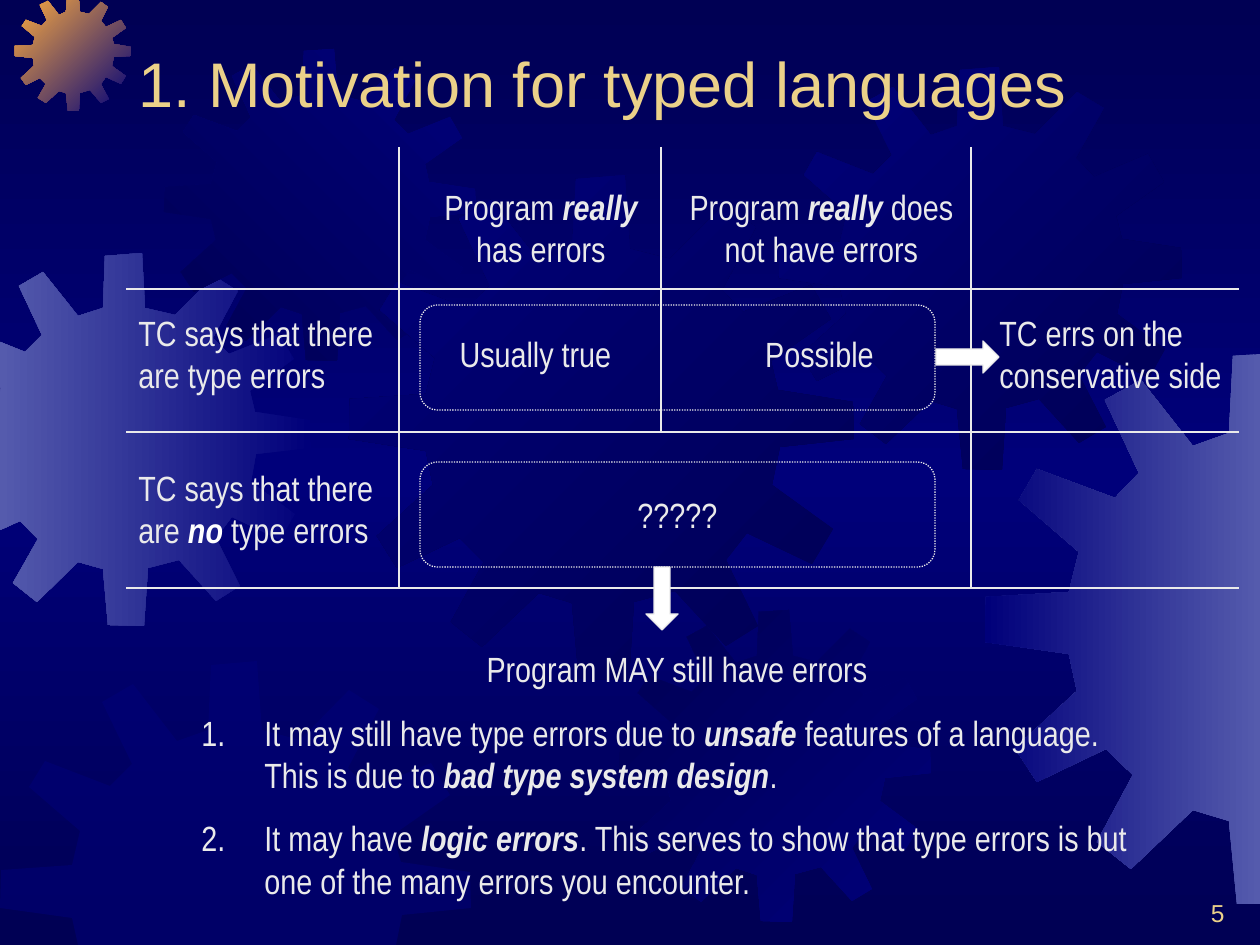
from copy import deepcopy
from dataclasses import dataclass

from lxml import etree
from pptx import Presentation
from pptx import util as u
from pptx.dml.color import RGBColor
from pptx.enum import dml, shapes, text
from pptx.oxml.ns import qn

WIDTH, HEIGHT = 1260, 945
EMU_PER_PX = 914400 / 126

GEAR_SIZE = 401
GEAR_OUTLINE = [
    (255, 67), (223, 59), (219, 0), (180, 3), (177, 59), (151, 68), (113, 20), (87, 35),
    (112, 88), (94, 106), (38, 85), (25, 107), (68, 145), (61, 174), (1, 178), (0, 210),
    (61, 219), (67, 246), (22, 287), (38, 312), (88, 288), (107, 307), (81, 355), (106, 375),
    (151, 332), (177, 340), (183, 400), (222, 401), (226, 339), (259, 330), (299, 374), (325, 358),
    (299, 306), (316, 284), (368, 309), (384, 281), (336, 246), (342, 216), (401, 210), (400, 180),
    (341, 171), (335, 148), (383, 114), (367, 87), (313, 109), (296, 91), (323, 41), (297, 25),
]


@dataclass(frozen=True)
class Theme:
    navy: str = "000054"
    blue: str = "00007A"
    mist: str = "555BAD"
    orange: str = "FCAB40"
    gold: str = "EBD189"
    pale: str = "EAEAEA"
    white: str = "FFFFFF"
    heading_font: str = "Arial"
    body_font: str = "Arial Narrow"
    title_size: int = 36
    body_size: int = 20
    number_size: int = 14
    space_before: float = 12.5
    line_width: float = 0.75


def px(length):
    return u.Emu(round(length * EMU_PER_PX))


def rgb(colour):
    return RGBColor.from_string(colour)


def clip(points, axis, limit, sign):
    """Keep the part of a polygon where sign * coordinate <= sign * limit."""
    kept = []
    for start, end in zip(points[-1:] + points[:-1], points):
        start_in, end_in = (sign * point[axis] <= sign * limit for point in (start, end))
        if start_in != end_in:
            share = (limit - start[axis]) / (end[axis] - start[axis])
            kept.append(tuple(a + share * (b - a) for a, b in zip(start, end)))
        if end_in:
            kept.append(end)
    return kept


class SlideBuilder:
    def __init__(self, slide, theme):
        self.slide = slide
        self.theme = theme

    def gradient(self, fill, element, colours, angle):
        """Spread colours evenly; the angle runs clockwise from left to right."""
        fill.gradient()
        fill.gradient_angle = -angle % 360
        stop_list = element.find(".//" + qn("a:gsLst"))
        for _ in colours[2:]:
            stop_list.append(deepcopy(stop_list[0]))
        for index, (stop, colour) in enumerate(zip(fill.gradient_stops, colours)):
            stop.color.rgb = rgb(colour)
            stop.position = index / (len(colours) - 1)

    def background(self, colours, angle):
        self.gradient(self.slide.background.fill, self.slide.element, colours, angle)

    def gear(self, left, top, size, colours, angle=0):
        """Draw a gear cut off at the slide edges; one colour gives a half-clear fill."""
        scale = size / GEAR_SIZE
        points = [(left + x * scale, top + y * scale) for x, y in GEAR_OUTLINE]
        for axis, limit, sign in ((0, 0, -1), (0, WIDTH, 1), (1, 0, -1), (1, HEIGHT, 1)):
            points = clip(points, axis, limit, sign)
        builder = self.slide.shapes.build_freeform(*points[0], scale=EMU_PER_PX)
        builder.add_line_segments(points[1:], close=True)
        shape = builder.convert_to_shape()
        shape.shadow.inherit = False
        shape.line.fill.background()
        if len(colours) > 1:
            self.gradient(shape.fill, shape.element, colours, angle)
        else:
            shape.fill.solid()
            shape.fill.fore_color.rgb = rgb(colours[0])
            colour = shape.element.spPr.find(".//" + qn("a:srgbClr"))
            etree.SubElement(colour, qn("a:alpha"), val="50000")

    def set_text(self, paragraph, content, size=None, font=None, colour=None,
                 emphasis=None, align=text.PP_ALIGN.LEFT):
        """Fill a paragraph; words between asterisks become bold italic."""
        theme = self.theme
        paragraph.alignment = align
        paragraph.font.size = u.Pt(size or theme.body_size)
        paragraph.font.name = font or theme.body_font
        paragraph.font.color.rgb = rgb(colour or theme.pale)
        for index, part in enumerate(content.split("*")):
            run = paragraph.add_run()
            run.text = part
            if index % 2:
                run.font.bold = run.font.italic = True
                if emphasis:
                    run.font.color.rgb = rgb(emphasis)

    def text_box(self, left, top, width, height, content, anchor=text.MSO_ANCHOR.TOP, **style):
        box = self.slide.shapes.add_textbox(px(left), px(top), px(width), px(height))
        frame = box.text_frame
        frame.word_wrap = True
        frame.vertical_anchor = anchor
        self.set_text(frame.paragraphs[0], content, **style)
        return frame

    def numbered(self, frame, content):
        paragraph = frame.add_paragraph()
        properties = paragraph._p.get_or_add_pPr()
        properties.set("marL", str(px(63)))
        properties.set("indent", str(px(-63)))
        bullet_colour = etree.SubElement(properties, qn("a:buClr"))
        etree.SubElement(bullet_colour, qn("a:srgbClr"), val=self.theme.pale)
        etree.SubElement(properties, qn("a:buAutoNum"), type="arabicPeriod")
        paragraph.space_before = u.Pt(self.theme.space_before)
        self.set_text(paragraph, content)

    def outline(self, line):
        line.color.rgb = rgb(self.theme.pale)
        line.width = u.Pt(self.theme.line_width)

    def rule(self, x1, y1, x2, y2):
        connector = self.slide.shapes.add_connector(
            shapes.MSO_CONNECTOR.STRAIGHT, px(x1), px(y1), px(x2), px(y2))
        self.outline(connector.line)
        etree.SubElement(connector.element.spPr, qn("a:effectLst"))

    def shape(self, kind, left, top, width, height, fill=None):
        shape = self.slide.shapes.add_shape(kind, px(left), px(top), px(width), px(height))
        shape.shadow.inherit = False
        self.outline(shape.line)
        if fill:
            shape.fill.solid()
            shape.fill.fore_color.rgb = rgb(fill)
        else:
            shape.fill.background()
            shape.line.dash_style = dml.MSO_LINE.ROUND_DOT
        return shape


def main():
    presentation = Presentation()
    presentation.slide_width, presentation.slide_height = px(WIDTH), px(HEIGHT)
    theme = Theme()
    page = SlideBuilder(presentation.slides.add_slide(presentation.slide_layouts[6]), theme)
    kinds, center = shapes.MSO_SHAPE, text.PP_ALIGN.CENTER
    bottom = text.MSO_ANCHOR.BOTTOM
    navy, blue, mist = theme.navy, theme.blue, theme.mist

    page.background((navy, blue, navy), 90)
    page.gear(-62, 253, 373, (blue, mist), 180)
    page.gear(15, -5, 116, (blue, theme.orange), 225)
    page.gear(164, 49, 312, (blue, navy), 135)
    page.gear(349, 175, 505, (navy, blue), 225)
    page.gear(0, 661, 471, (blue,))
    page.gear(619, 610, 312, (blue, navy), 225)
    page.gear(779, 67, 403, (navy, blue), 225)
    page.gear(985, 352, 553, (mist, blue), 180)

    page.text_box(126, 21, 1113, 105, "1. Motivation for typed languages", bottom,
                  size=theme.title_size, font=theme.heading_font, colour=theme.gold)

    page.text_box(126, 305, 262, 97, "TC says that there are type errors")
    page.text_box(126, 460, 284, 97, "TC says that there are *no* type errors",
                  emphasis=theme.white)
    page.text_box(415, 179, 252, 97, "Program *really* has errors", align=center)
    page.text_box(669, 179, 305, 97, "Program *really* does not have errors", align=center)
    page.text_box(441, 326, 189, 55, "Usually true", align=center)
    page.text_box(725, 326, 189, 55, "Possible", align=center)
    page.text_box(987, 305, 262, 97, "TC errs on the conservative side")

    for y in (289, 432, 588):
        page.rule(126, y, 1239, y)
    for x, end in ((399, 588), (971, 588), (661, 431)):
        page.rule(x, 147, x, end)

    page.shape(kinds.ROUNDED_RECTANGLE, 420, 305, 515, 105)
    page.shape(kinds.RIGHT_ARROW, 936, 341, 63, 32, theme.white)
    unknown = page.shape(kinds.ROUNDED_RECTANGLE, 420, 462, 515, 105)
    unknown.text_frame.word_wrap = False
    page.set_text(unknown.text_frame.paragraphs[0], "?????", align=center)
    page.shape(kinds.DOWN_ARROW, 646, 567, 32, 63, theme.white)

    notes = page.text_box(189, 641, 976, 267, "Program MAY still have errors", align=center)
    page.numbered(notes, "It may still have type errors due to *unsafe* features of a language. "
                         "This is due to *bad type system design*.")
    page.numbered(notes, "It may have *logic errors*. This serves to show that type errors is but "
                         "one of the many errors you encounter.")

    page.text_box(975, 892, 262, 42, "5", bottom, size=theme.number_size,
                  font=theme.heading_font, colour=theme.gold, align=text.PP_ALIGN.RIGHT)
    presentation.save("out.pptx")


if __name__ == "__main__":
    main()
